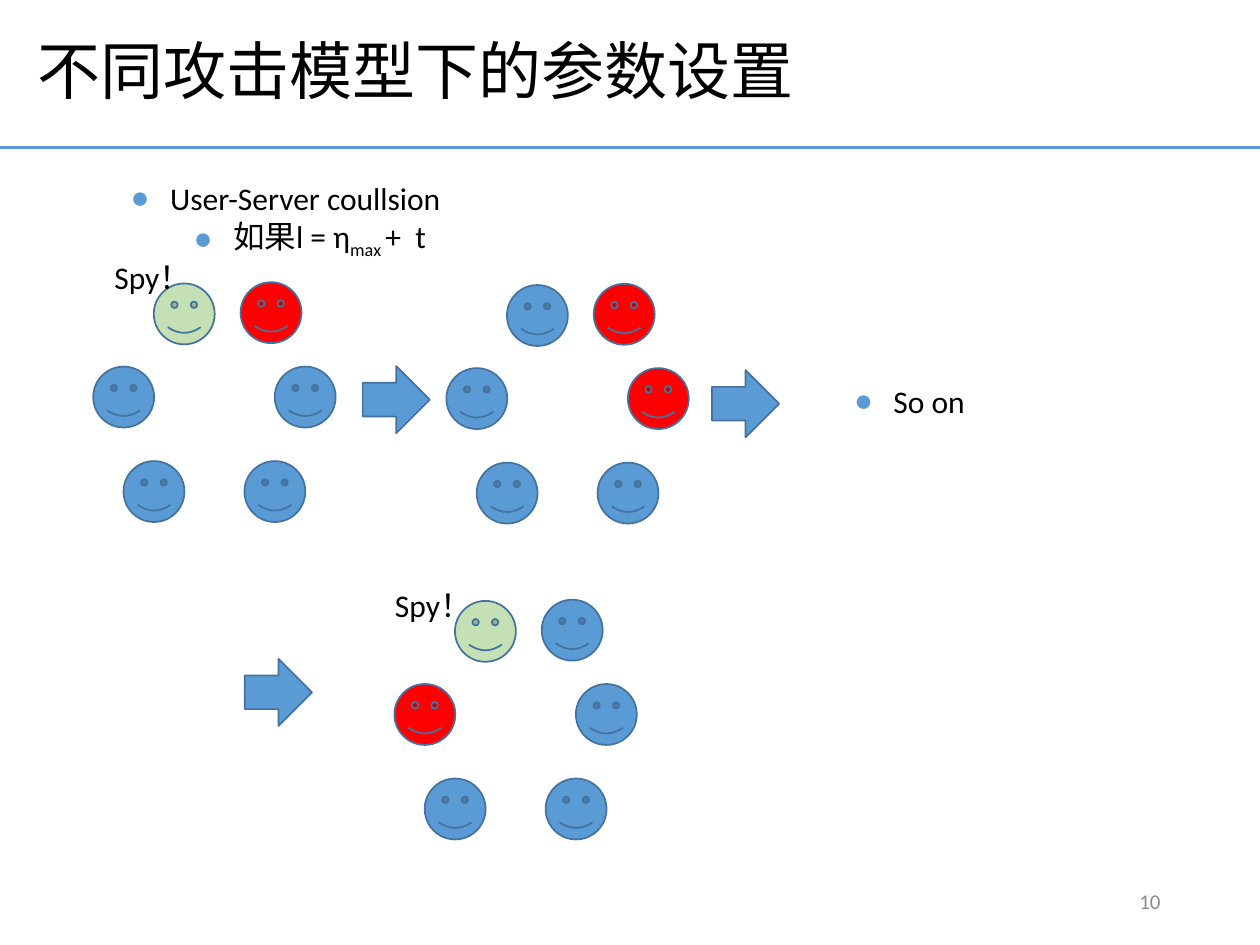
from lxml import etree
from pptx import Presentation
from pptx.dml.color import RGBColor
from pptx.enum import shapes, text
from pptx.oxml import ns
from pptx.util import Pt

BLACK = RGBColor(0x00, 0x00, 0x00)
GREY = RGBColor(0x8C, 0x8C, 0x8C)
BLUE = RGBColor(0x5B, 0x9B, 0xD5)
OUTLINE = RGBColor(0x43, 0x73, 0x9E)
GREEN = RGBColor(0xC5, 0xE0, 0xB4)
RED = RGBColor(0xFF, 0x00, 0x00)

FACE = 34.8
ARROW = 38.4
RING = [(34.6, 0.7), (84.2, 0), (103.7, 48.2), (86.4, 102.2), (17.3, 102.2), (0, 48.2)]
RINGS = [
    (53.3, 161.3, [GREEN, RED, BLUE, BLUE, BLUE, BLUE]),
    (255.1, 162.2, [BLUE, RED, RED, BLUE, BLUE, BLUE]),
    (225.4, 342.7, [GREEN, BLUE, BLUE, BLUE, BLUE, RED]),
]
ARROWS = [(207.2, 209.2), (406.8, 211.5), (139.9, 376.4)]
SPIES = [(58.3, 144), (218.6, 331.2)]


def place(sp, x, y, w, h):
    """Move and size a shape, in points."""
    sp.left, sp.top, sp.width, sp.height = Pt(x), Pt(y), Pt(w), Pt(h)


def add_run(p, string, size=18, color=BLACK, baseline=0):
    """Append a formatted run to a paragraph."""
    r = p.add_run()
    r.text = string
    r.font.name = "Calibri"
    r.font.size = Pt(size)
    r.font.color.rgb = color
    if baseline:
        r.font._element.set("baseline", str(baseline * 1000))


def set_frame(tf, anchor=text.MSO_ANCHOR.TOP):
    """Give a text frame wrapping, a fixed size and an anchor."""
    tf.word_wrap = True
    tf.auto_size = text.MSO_AUTO_SIZE.NONE
    tf.vertical_anchor = anchor


def set_bullet(p, level):
    """Format a paragraph as a blue bulleted item."""
    p.level = level
    p.line_spacing = 1.0
    p.space_before = p.space_after = Pt(0)
    pPr = p._p.get_or_add_pPr()
    pPr.set("marL", str(Pt(22.3 + 36 * level)))
    pPr.set("indent", str(Pt(-22.5)))
    clr = etree.SubElement(pPr, ns.qn("a:buClr"))
    etree.SubElement(clr, ns.qn("a:srgbClr")).set("val", str(BLUE))
    etree.SubElement(pPr, ns.qn("a:buChar")).set("char", "●")


def fill_list(sp, box, items):
    """Fill a body placeholder with (level, runs) items."""
    place(sp, *box)
    tf = sp.text_frame
    set_frame(tf)
    for i, (level, runs) in enumerate(items):
        p = tf.add_paragraph() if i else tf.paragraphs[0]
        set_bullet(p, level)
        for string, baseline in runs:
            add_run(p, string, baseline=baseline)


def fill_title(sp, string):
    """Place and fill the title placeholder."""
    place(sp, 14.4, 0, 694, 84.2)
    set_frame(sp.text_frame, text.MSO_ANCHOR.MIDDLE)
    p = sp.text_frame.paragraphs[0]
    p.alignment = text.PP_ALIGN.LEFT
    p.line_spacing = 0.9
    add_run(p, string, size=36)


def add_label(slide, string, box, align=text.PP_ALIGN.LEFT,
              anchor=text.MSO_ANCHOR.TOP, **fmt):
    """Add a one-paragraph text box."""
    sp = slide.shapes.add_textbox(*map(Pt, box))
    set_frame(sp.text_frame, anchor)
    p = sp.text_frame.paragraphs[0]
    p.alignment = align
    add_run(p, string, **fmt)


def add_figure(slide, kind, x, y, size, color=BLUE):
    """Add a square preset shape with a thin outline."""
    sp = slide.shapes.add_shape(kind, Pt(x), Pt(y), Pt(size), Pt(size))
    sp.shadow.inherit = False
    sp.fill.solid()
    sp.fill.fore_color.rgb = color
    sp.line.color.rgb = OUTLINE
    sp.line.width = Pt(1)


def add_ring(slide, x, y, colors):
    """Add six users arranged in a ring."""
    for (dx, dy), color in zip(RING, colors):
        add_figure(slide, shapes.MSO_SHAPE.SMILEY_FACE, x + dx, y + dy, FACE, color)


def add_rule(slide, y, width):
    """Add the line below the title."""
    cxn = slide.shapes.add_connector(
        shapes.MSO_CONNECTOR.STRAIGHT, Pt(0), Pt(y), Pt(width), Pt(y))
    cxn.line.color.rgb = BLUE
    cxn.line.width = Pt(2)
    etree.SubElement(cxn._element.spPr, ns.qn("a:effectLst"))


def main():
    """Build and save the slide."""
    prs = Presentation()
    prs.slide_width, prs.slide_height = Pt(720), Pt(540)
    slide = prs.slides.add_slide(prs.slide_layouts[3])
    title, body, outcome = slide.placeholders

    add_rule(slide, 84.2, 720)
    fill_title(title, "不同攻击模型下的参数设置")
    fill_list(body, (31.7, 98.6, 688.3, 51.1), [
        (1, [("User-Server coullsion", 0)]),
        (2, [("如果l = η", 0), ("max ", -25), ("+  t", 0)]),
    ])
    fill_list(outcome, (445, 214.6, 284.4, 28.8), [(1, [("So on", 0)])])

    for x, y, colors in RINGS:
        add_ring(slide, x, y, colors)
    for x, y in ARROWS:
        add_figure(slide, shapes.MSO_SHAPE.RIGHT_ARROW, x, y, ARROW)
    for x, y in SPIES:
        add_label(slide, "Spy！", (x, y, 58, 28.8))
    add_label(slide, "10", (508.3, 500.4, 162, 28.8), align=text.PP_ALIGN.RIGHT,
              anchor=text.MSO_ANCHOR.MIDDLE, size=12, color=GREY)
    prs.save("out.pptx")


if __name__ == "__main__":
    main()
